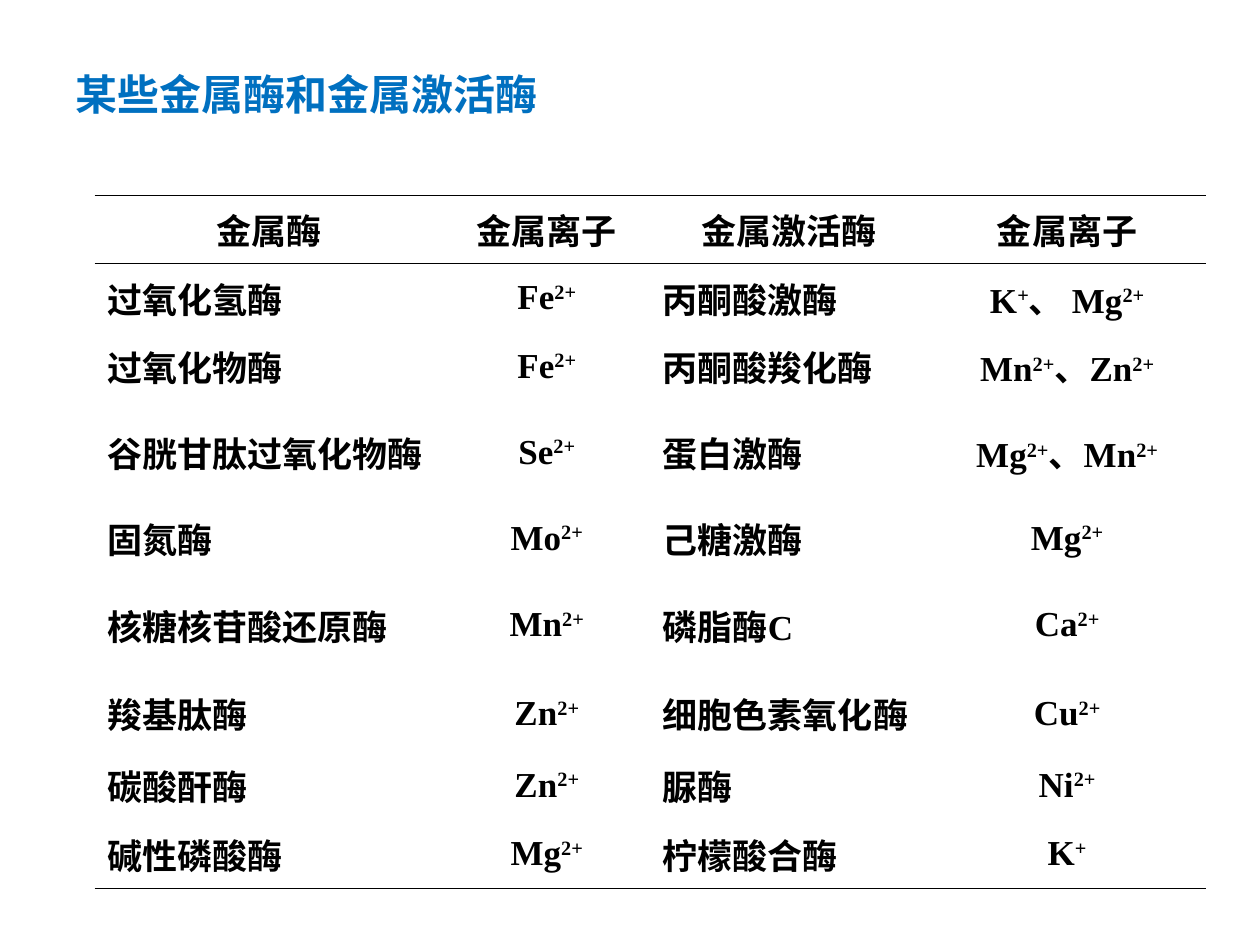
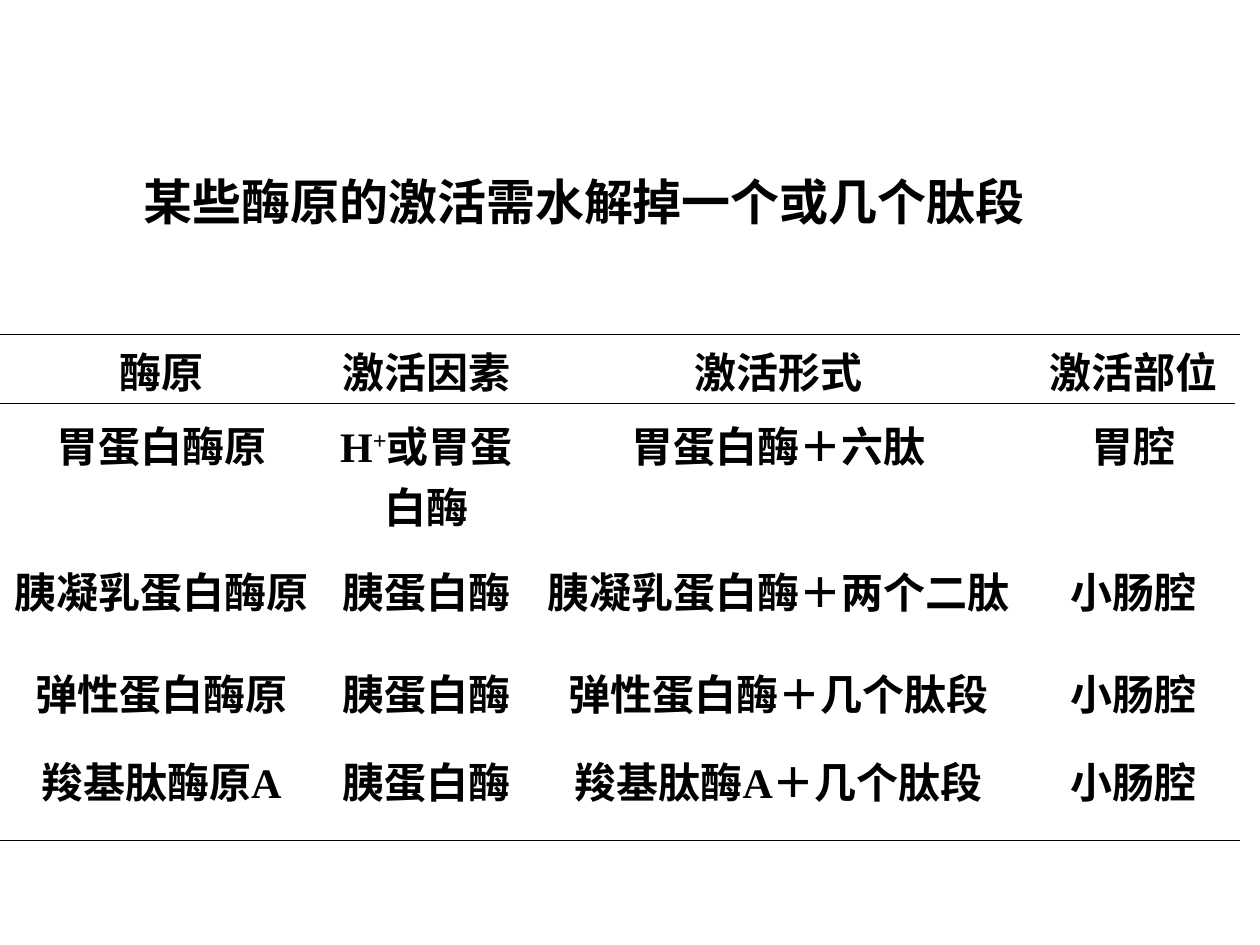
from lxml.etree import SubElement
from pptx import Presentation
from pptx.dml.color import RGBColor
from pptx.enum.shapes import MSO_CONNECTOR
from pptx.enum.text import MSO_ANCHOR as ANCHOR, MSO_AUTO_SIZE, PP_ALIGN as ALIGN
from pptx.oxml.ns import qn
from pptx.util import Inches, Pt

BLACK = RGBColor(0x00, 0x00, 0x00)
BLUE = RGBColor(0x00, 0x70, 0xC0)
LATIN = "Times New Roman"
CJK = "Noto Sans CJK SC"
TITLE_ONLY = 5
RULE_WIDTH = Pt(0.45)


class Deck:
    """Holds the shared style and the current slide."""

    def __init__(self):
        self.prs = Presentation()
        self.prs.slide_width, self.prs.slide_height = Inches(10), Inches(7.5)

    def new_slide(self):
        self.s = self.prs.slides.add_slide(self.prs.slide_layouts[TITLE_ONLY])

    def style(self, p, size, color=BLACK, align=ALIGN.LEFT, latin=LATIN):
        p.alignment = align
        f = p.font
        f.size, f.bold, f.name = Pt(size), True, latin
        f.color.rgb = color
        SubElement(p._p.pPr.find(qn("a:defRPr")), qn("a:ea"), typeface=CJK)

    def add_runs(self, p, text):
        """Add runs; the parts between carets are superscript."""
        for i, part in enumerate(text.split("^")):
            if part:
                r = p.add_run()
                r.text = part
                if i % 2:
                    r._r.get_or_add_rPr().set("baseline", "30000")

    def title(self, text, box, size, color=BLACK, latin=LATIN, spacing=1.0):
        sp = self.s.shapes.title
        sp.left, sp.top, sp.width, sp.height = map(Inches, box)
        tf = sp.text_frame
        tf.word_wrap, tf.auto_size = True, MSO_AUTO_SIZE.NONE
        tf.vertical_anchor = ANCHOR.MIDDLE
        p = tf.paragraphs[0]
        p.line_spacing = spacing
        self.add_runs(p, text)
        self.style(p, size, color, latin=latin)

    def borders(self, cell, ruled):
        """Draw a thin rule on the named sides and clear the others."""
        tcPr = cell._tc.get_or_add_tcPr()
        for side in "LRTB":
            ln = SubElement(tcPr, qn(f"a:ln{side}"), w=str(int(RULE_WIDTH)))
            if side in ruled:
                fill = SubElement(ln, qn("a:solidFill"))
                SubElement(fill, qn("a:srgbClr"), val=str(BLACK))
            else:
                SubElement(ln, qn("a:noFill"))

    def table(self, rows, left, top, widths, heights, size, aligns,
              anchor=ANCHOR.TOP, header_rule=True):
        frame = self.s.shapes.add_table(
            len(rows), len(widths), Inches(left), Inches(top),
            Inches(sum(widths)), Inches(sum(heights)))
        table = frame.table
        table.first_row = table.horz_banding = False
        for col, width in zip(table.columns, widths):
            col.width = Inches(width)
        for row, height in zip(table.rows, heights):
            row.height = Inches(height)

        sides = {0: "TB" if header_rule else "T", len(rows) - 1: "B"}
        if header_rule:
            sides[1] = "T"
        for i, texts in enumerate(rows):
            for j, text in enumerate(texts):
                cell = table.cell(i, j)
                self.borders(cell, sides.get(i, ""))
                cell.fill.background()
                cell.vertical_anchor = anchor
                p = cell.text_frame.paragraphs[0]
                self.add_runs(p, text)
                self.style(p, size, align=aligns[j] if i else ALIGN.CENTER)

    def line(self, x1, y1, x2, y2, width=0.75):
        c = self.s.shapes.add_connector(
            MSO_CONNECTOR.STRAIGHT, *map(Inches, (x1, y1, x2, y2)))
        c.line.color.rgb, c.line.width = BLACK, Pt(width)
        SubElement(c._element.spPr, qn("a:effectLst"))


METAL_ENZYMES = [
    ("金属酶", "金属离子", "金属激活酶", "金属离子"),
    ("过氧化氢酶", "Fe^2+", "丙酮酸激酶", "K^+^、 Mg^2+"),
    ("过氧化物酶", "Fe^2+", "丙酮酸羧化酶", "Mn^2+^、Zn^2+"),
    ("谷胱甘肽过氧化物酶", "Se^2+", "蛋白激酶", "Mg^2+^、Mn^2+"),
    ("固氮酶", "Mo^2+", "己糖激酶", "Mg^2+"),
    ("核糖核苷酸还原酶", "Mn^2+", "磷脂酶C", "Ca^2+"),
    ("羧基肽酶", "Zn^2+", "细胞色素氧化酶", "Cu^2+"),
    ("碳酸酐酶", "Zn^2+", "脲酶", "Ni^2+"),
    ("碱性磷酸酶", "Mg^2+", "柠檬酸合酶", "K^+"),
]

ZYMOGENS = [
    ("酶原", "激活因素", "激活形式", "激活部位"),
    ("胃蛋白酶原", "H^+^或胃蛋白酶", "胃蛋白酶＋六肽", "胃腔"),
    ("胰凝乳蛋白酶原", "胰蛋白酶", "胰凝乳蛋白酶＋两个二肽", "小肠腔"),
    ("弹性蛋白酶原", "胰蛋白酶", "弹性蛋白酶＋几个肽段", "小肠腔"),
    ("羧基肽酶原A", "胰蛋白酶", "羧基肽酶A＋几个肽段", "小肠腔"),
]


def main():
    deck = Deck()

    # Metalloenzymes and metal-activated enzymes
    deck.new_slide()
    deck.title("某些金属酶和金属激活酶", (0.5, 0.3, 9, 0.93), 24, BLUE, spacing=0.9)
    deck.table(METAL_ENZYMES, 0.75, 1.55, (2.77, 1.64, 2.21, 2.2),
               (0.54, 0.55, 0.54, 0.82, 0.55, 0.82, 0.59, 0.55, 0.54),
               20, (ALIGN.LEFT, ALIGN.CENTER) * 2, ANCHOR.MIDDLE)

    # Zymogen activation
    deck.new_slide()
    deck.title("某些酶原的激活需水解掉一个或几个肽段", (1.04, 1.31, 7.5, 0.57), 28,
               latin=CJK)
    deck.table(ZYMOGENS, 0, 2.65, (2.56, 1.65, 3.94, 1.69),
               (0.5, 1.16, 0.81, 0.7, 0.77), 24, (ALIGN.CENTER,) * 4,
               header_rule=False)
    deck.line(0, 3.2, 9.8, 3.2)

    deck.prs.save("out.pptx")


if __name__ == "__main__":
    main()
